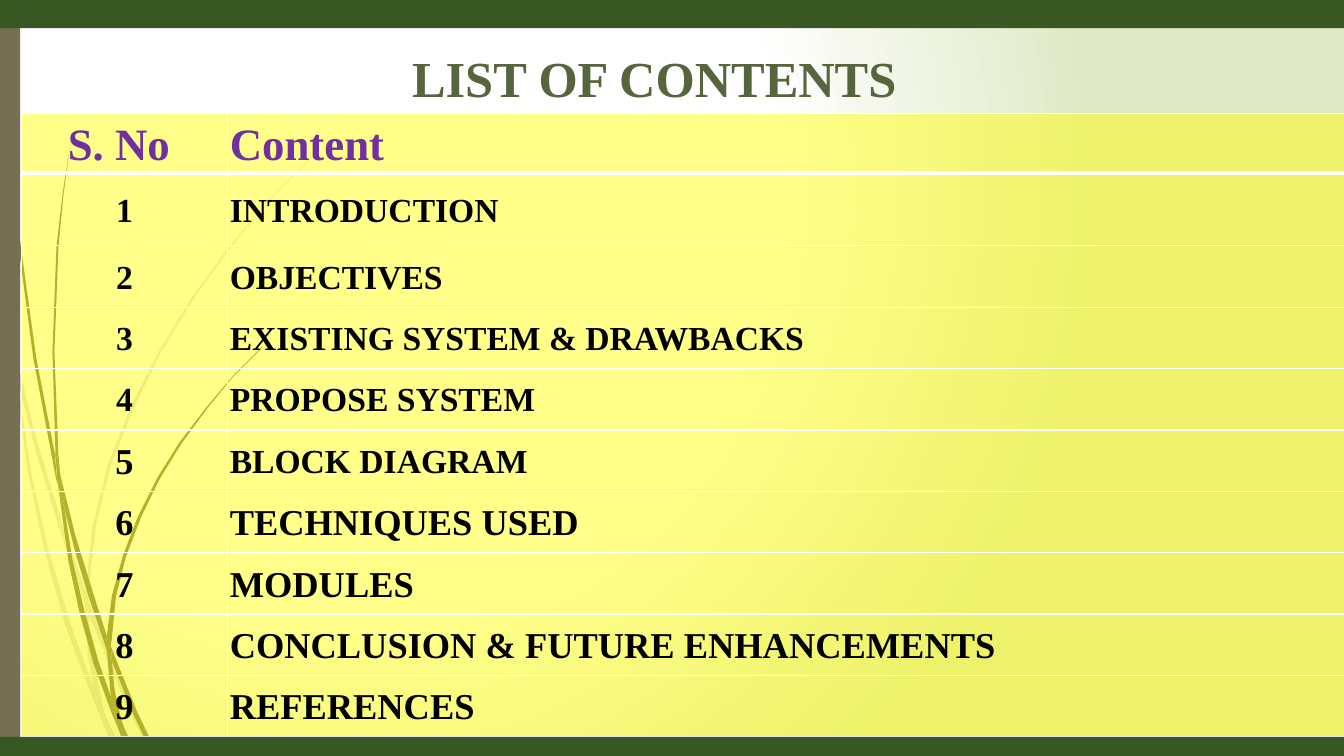
from lxml import etree
from pptx import Presentation
from pptx.dml.color import RGBColor
from pptx.enum.shapes import MSO_SHAPE
from pptx.enum.text import MSO_ANCHOR, PP_ALIGN
from pptx.oxml import parse_xml
from pptx.oxml.ns import nsdecls, qn
from pptx.util import Inches, Pt

RECTANGLE = MSO_SHAPE.RECTANGLE
CENTER, LEFT = PP_ALIGN.CENTER, PP_ALIGN.LEFT
MIDDLE, TOP = MSO_ANCHOR.MIDDLE, MSO_ANCHOR.TOP
WIDTH, HEIGHT = 13.33, 7.5
SIDEBAR, TABLE_LEFT, TABLE_TOP, FOOTER_TOP = 0.2, 0.21, 1.13, 7.31
TITLE_ONLY = 5
FONT = "Times New Roman"
COLORS = {
    "paper": "FFFFFF", "paper_edge": "DFE8C4", "grass": "766F54",
    "band": "385723", "title": "56653E", "header": "7030A0",
    "text": "000000", "cell": "FFFF00", "border": "FFFFFF",
}
CONTENTS = [
    ("S. No ", "Content"),
    ("1", "INTRODUCTION"),
    ("2", "OBJECTIVES"),
    ("3", "EXISTING SYSTEM & DRAWBACKS"),
    ("4", "PROPOSE SYSTEM"),
    ("5", "BLOCK DIAGRAM"),
    ("6", "TECHNIQUES USED"),
    ("7", "MODULES"),
    ("8", "CONCLUSION & FUTURE ENHANCEMENTS"),
    ("9", "REFERENCES"),
]
COLUMN_WIDTHS = [2.05, 11.08]
HEADER_HEIGHT, FIRST_HEIGHT = 0.59, 0.72
LARGE_CELLS_FROM = {0: 5, 1: 6}
PALE_BLADES = [
    [(0.11, 3.5), (0.09, 3.22), (0, 2.82), (0, 2.99), (0.1, 3.44)],
    [(0.58, 5.22), (0.84, 5.99), (0.85, 5.86), (0.62, 5.2), (0.36, 4.35),
     (0.14, 3.45), (0.17, 3.76), (0.36, 4.5)],
    [(0.92, 6.07), (0.88, 5.96), (0.88, 6.1), (1.23, 6.94), (1.5, 7.5),
     (1.55, 7.5), (1.27, 6.92)],
    [(1.19, 7.5), (1.24, 7.5), (1.05, 7.11)],
    [(0.93, 6.83), (0.7, 6.19), (0.48, 5.45), (0.31, 4.69), (0.17, 3.76),
     (0.11, 3.5), (0.28, 4.7), (0.44, 5.46), (0.65, 6.21), (0.92, 6.93),
     (1.01, 7.14), (0.99, 7.07)],
    [(0.84, 5.99), (0.87, 6.46), (0.93, 6.83), (0.96, 6.92), (1.05, 7.11),
     (1.03, 7.06), (0.91, 6.46), (0.88, 6.1), (0.88, 6.08)],
    [(0.88, 5.84), (0.95, 5.22), (1.1, 4.62), (1.33, 4.04), (1.6, 3.49),
     (1.93, 2.95), (2.29, 2.45), (2.68, 1.98), (3.12, 1.54), (3.12, 1.53),
     (2.68, 1.97), (2.28, 2.44), (1.91, 2.94), (1.58, 3.48), (1.3, 4.03),
     (1.07, 4.61), (0.92, 5.21), (0.85, 5.84), (0.85, 5.86), (0.88, 5.96)],
    [(1.01, 7.14), (1.14, 7.5), (1.19, 7.5)],
    [(0.88, 6.08), (0.88, 6.1), (0.88, 5.96), (0.85, 5.86), (0.84, 5.99)],
    [(0.96, 6.92), (0.93, 6.83), (0.99, 7.07), (1.01, 7.14), (1.19, 7.5),
     (1.05, 7.11)],
]
DARK_BLADES = [
    [(0.07, 1.1), (0.17, 2.33), (0.33, 3.55), (0.56, 4.77), (0.57, 4.81),
     (0.55, 4.57), (0.55, 4.53), (0.36, 3.55), (0.19, 2.32), (0.08, 1.09),
     (0.05, 0.48), (0.04, 0), (0.03, 0), (0.04, 0.48)],
    [(0.88, 5.92), (1.06, 6.45), (1.06, 6.33), (1.06, 6.31), (0.93, 5.9),
     (0.75, 5.32), (0.6, 4.72), (0.64, 5.05), (0.75, 5.49)],
    [(1.13, 6.49), (1.1, 6.41), (1.11, 6.56), (1.32, 7.08), (1.52, 7.5),
     (1.57, 7.5), (1.36, 7.06)],
    [(1.1, 6.91), (0.98, 6.57), (0.84, 6.07), (0.72, 5.56), (0.64, 5.05),
     (0.57, 4.77), (0.68, 5.57), (0.79, 6.08), (0.93, 6.59), (1.11, 7.08),
     (1.17, 7.22), (1.16, 7.17)],
    [(0.6, 4.72), (0.58, 4.53), (0.54, 3.49), (0.58, 2.45), (0.63, 1.93),
     (0.7, 1.41), (0.62, 1.93), (0.56, 2.45), (0.52, 3.49), (0.55, 4.49)],
    [(1.33, 7.5), (1.36, 7.5), (1.22, 7.19)],
    [(0.57, 4.77), (0.64, 5.05), (0.6, 4.72), (0.55, 4.49), (0.55, 4.53)],
    [(1.11, 6.33), (1.15, 5.92), (1.25, 5.52), (1.4, 5.13), (1.58, 4.76),
     (1.8, 4.4), (2.05, 4.06), (2.31, 3.74), (2.61, 3.44), (2.6, 3.44),
     (2.31, 3.73), (2.04, 4.05), (1.78, 4.39), (1.56, 4.74), (1.37, 5.12),
     (1.22, 5.51), (1.11, 5.91), (1.06, 6.31), (1.1, 6.41)],
    [(1.17, 7.22), (1.27, 7.5), (1.31, 7.5)],
    [(1.06, 6.45), (1.1, 6.91), (1.16, 7.06), (1.22, 7.19), (1.21, 7.16),
     (1.14, 6.86), (1.11, 6.56), (1.09, 6.51)],
    [(1.06, 6.45), (1.09, 6.51), (1.11, 6.56), (1.1, 6.41), (1.06, 6.31)],
    [(1.16, 7.06), (1.1, 6.91), (1.16, 7.17), (1.17, 7.22), (1.3, 7.5),
     (1.33, 7.5), (1.22, 7.19)],
]


def rgb(name):
    return RGBColor.from_string(COLORS[name])


def apply_format(target, values):
    for name, value in values.items():
        setattr(target, name, value)


def set_fill(fill, parent, color, opacity=100):
    fill.solid()
    fill.fore_color.rgb = rgb(color)
    if opacity < 100:
        color_element = parent.find(qn("a:solidFill"))[0]
        etree.SubElement(color_element, qn("a:alpha"), val=str(opacity * 1000))


def finish_shape(shape, color, opacity=100):
    shape.shadow.inherit = False
    set_fill(shape.fill, shape.element.spPr, color, opacity)
    shape.line.fill.background()


def set_text(text_frame, text, alignment, size, color):
    paragraph = text_frame.paragraphs[0]
    paragraph.alignment = alignment
    run = paragraph.add_run()
    run.text = text
    apply_format(run.font, {"name": FONT, "size": Pt(size), "bold": True})
    run.font.color.rgb = rgb(color)
    return paragraph


def paint_background(slide):
    stops = "".join(
        f'<a:gs pos="{position * 1000}"><a:srgbClr val="{COLORS[name]}"/></a:gs>'
        for position, name in ((0, "paper"), (57, "paper"), (100, "paper_edge")))
    background = parse_xml(
        f'<p:bg {nsdecls("p", "a")}><p:bgPr><a:gradFill rotWithShape="1">'
        f'<a:gsLst>{stops}</a:gsLst><a:path path="circle">'
        '<a:fillToRect l="50000" t="50000" r="100000" b="100000"/></a:path>'
        '</a:gradFill><a:effectLst/></p:bgPr></p:bg>')
    slide.element.cSld.insert(0, background)


def add_grass(slide, box, blades, opacity):
    left, top = box[:2]
    for blade in blades:
        points = [(Inches(left + x), Inches(top + y)) for x, y in blade]
        builder = slide.shapes.build_freeform(*points[0])
        builder.add_line_segments(points[1:], close=True)
        finish_shape(builder.convert_to_shape(), "grass", opacity)


def add_band(slide, box, color):
    shape = slide.shapes.add_shape(RECTANGLE, *map(Inches, box))
    finish_shape(shape, color)


def add_title(slide, box):
    title = slide.shapes.title
    apply_format(title, dict(zip(("left", "top", "width", "height"), map(Inches, box))))
    apply_format(title.text_frame, {
        "margin_left": Inches(0.85), "margin_right": Inches(0.1),
        "margin_top": Inches(0.05), "margin_bottom": Inches(0.05),
        "vertical_anchor": TOP, "word_wrap": True})
    paragraph = set_text(title.text_frame, "LIST OF CONTENTS", CENTER, 36, "title")
    apply_format(paragraph, {"line_spacing": 1.0, "space_before": Pt(0)})


def add_borders(cell, widths):
    properties = cell._tc.get_or_add_tcPr()
    for side, width in widths.items():
        properties.append(parse_xml(
            f'<a:ln{side} {nsdecls("a")} w="{Pt(width)}"><a:solidFill>'
            f'<a:srgbClr val="{COLORS["border"]}"/></a:solidFill></a:ln{side}>'))


def add_contents(slide, box):
    table = slide.shapes.add_table(
        len(CONTENTS), len(COLUMN_WIDTHS), *map(Inches, box)).table
    apply_format(table, {"first_row": False, "horz_banding": False})
    for column, width in zip(table.columns, COLUMN_WIDTHS):
        column.width = Inches(width)
    other_rows = len(CONTENTS) - 2
    other_height = (box[3] - HEADER_HEIGHT - FIRST_HEIGHT) / other_rows
    heights = [HEADER_HEIGHT, FIRST_HEIGHT] + [other_height] * other_rows
    for row, height in zip(table.rows, heights):
        row.height = Inches(height)
    for row_index, texts in enumerate(CONTENTS):
        for column_index, text in enumerate(texts):
            cell = table.cell(row_index, column_index)
            apply_format(cell, {
                "margin_left": Inches(0.02), "margin_right": Inches(0.02),
                "margin_top": 0, "margin_bottom": 0, "vertical_anchor": MIDDLE})
            add_borders(cell, {"L": 1, "R": 1, "T": 3 if row_index == 1 else 1,
                               "B": 3 if row_index == 0 else 1})
            set_fill(cell.fill, cell._tc.tcPr, "cell", 46)
            is_large = row_index >= LARGE_CELLS_FROM[column_index]
            size = 32 if row_index == 0 else 26 if is_large else 24
            paragraph = set_text(
                cell.text_frame, text, LEFT if column_index else CENTER, size,
                "text" if row_index else "header")
            paragraph.line_spacing = 1.07


def build_contents_slide(presentation):
    slide = presentation.slides.add_slide(presentation.slide_layouts[TITLE_ONLY])
    page = (0, 0, WIDTH, HEIGHT)
    paint_background(slide)
    add_grass(slide, page, PALE_BLADES, 20)
    add_grass(slide, page, DARK_BLADES, 100)
    add_band(slide, (0, 0, SIDEBAR, HEIGHT), "grass")
    add_contents(slide, (TABLE_LEFT, TABLE_TOP, sum(COLUMN_WIDTHS), FOOTER_TOP - TABLE_TOP))
    add_title(slide, (2.82, 0.42, 6.59, 0.71))
    add_band(slide, (0, 0, WIDTH, 0.28), "band")
    add_band(slide, (0, FOOTER_TOP, WIDTH, HEIGHT - FOOTER_TOP), "band")


def main():
    presentation = Presentation()
    apply_format(presentation, {
        "slide_width": Inches(WIDTH), "slide_height": Inches(HEIGHT)})
    build_contents_slide(presentation)
    presentation.save("out.pptx")


if __name__ == "__main__":
    main()
